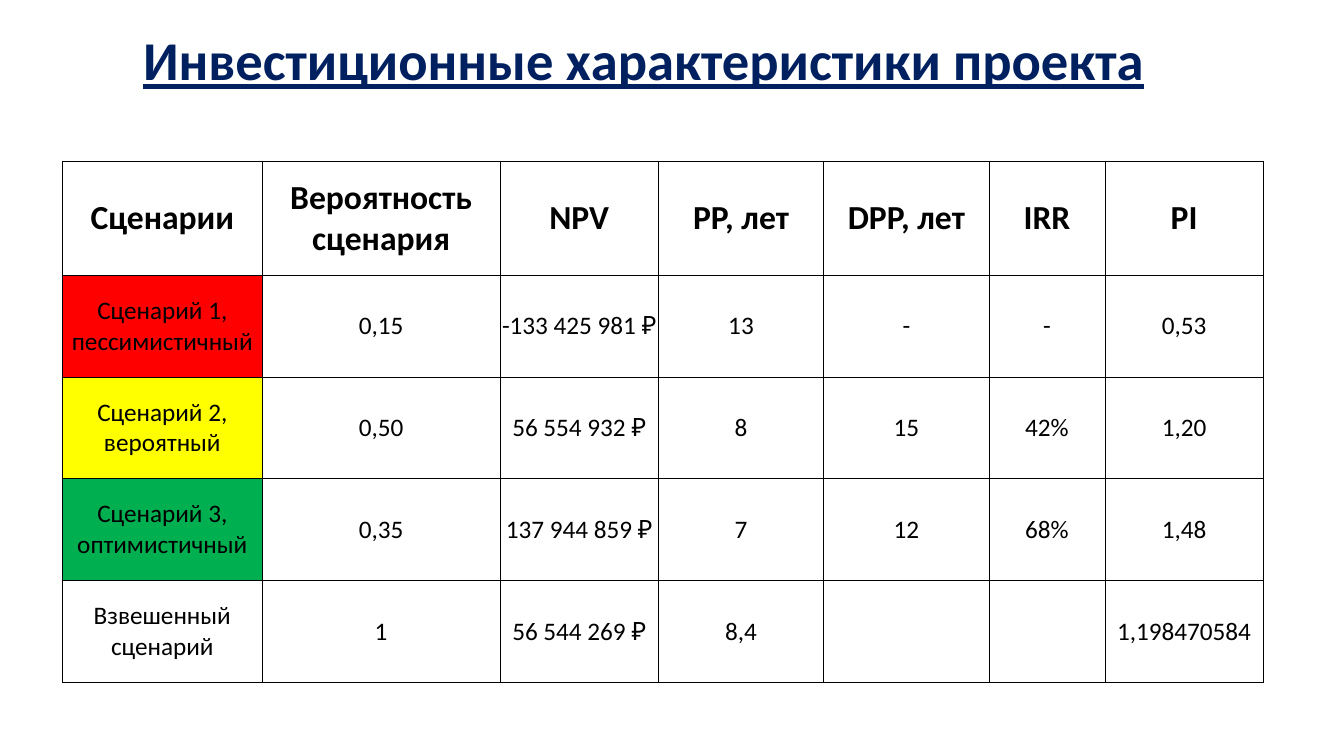
"""Build a slide with a table of investment indicators by scenario."""
from lxml.etree import SubElement
from pptx import Presentation
from pptx.dml.color import RGBColor
from pptx.enum.text import MSO_ANCHOR as Anchor, PP_ALIGN as Align
from pptx.oxml.ns import qn
from pptx.util import Inches, Pt

NAVY = RGBColor(0x00, 0x20, 0x60)
BLACK = RGBColor(0x00, 0x00, 0x00)
RED = RGBColor(0xFF, 0x00, 0x00)
YELLOW = RGBColor(0xFF, 0xFF, 0x00)
GREEN = RGBColor(0x00, 0xB0, 0x50)

COLUMN_WIDTHS = [1.98, 2.36, 1.57, 1.64, 1.64, 1.15, 1.57]
HEADER_HEIGHT, SCENARIO_HEIGHT = 1.13, 1.01
SCENARIO_FILLS = {1: RED, 2: YELLOW, 3: GREEN}
INDICATORS = [
    ["Сценарии", "Вероятность сценария", "NPV", "PP, лет", "DPP, лет", "IRR", "PI"],
    ["Сценарий 1, пессимистичный", "0,15", "-133 425 981 ₽", "13", "-", "-", "0,53"],
    ["Сценарий 2, вероятный", "0,50", "56 554 932 ₽", "8", "15", "42%", "1,20"],
    ["Сценарий 3, оптимистичный", "0,35", "137 944 859 ₽", "7", "12", "68%", "1,48"],
    ["Взвешенный сценарий", "1", "56 544 269 ₽", "8,4", "", "", "1,198470584"],
]


def style_font(font, size, color, bold):
    font.name, font.size, font.bold = "Calibri", Pt(size), bold
    font.color.rgb = color


def add_borders(cell, color, width):
    properties = cell._tc.get_or_add_tcPr()
    for index, side in enumerate(("lnL", "lnR", "lnT", "lnB")):
        border = SubElement(properties, qn(f"a:{side}"), w=str(Pt(width)))
        fill = SubElement(border, qn("a:solidFill"))
        SubElement(fill, qn("a:srgbClr"), val=str(color))
        properties.insert(index, border)


deck = Presentation()
deck.slide_width, deck.slide_height = Inches(13.33), Inches(7.5)
slide = deck.slides.add_slide(deck.slide_layouts[6])

title = slide.shapes.add_textbox(Inches(1.32), Inches(0.14), Inches(10.81), Inches(0.89)).text_frame
title.word_wrap = True
title.vertical_anchor = Anchor.MIDDLE
heading = title.paragraphs[0]
heading.text = "Инвестиционные характеристики проекта"
style_font(heading.font, 39, NAVY, True)
heading.font.underline = True

row_heights = [HEADER_HEIGHT] + [SCENARIO_HEIGHT] * (len(INDICATORS) - 1)
scenarios = slide.shapes.add_table(
    len(row_heights), len(COLUMN_WIDTHS), Inches(0.62), Inches(1.6),
    Inches(sum(COLUMN_WIDTHS)), Inches(sum(row_heights))).table
scenarios.first_row = scenarios.horz_banding = False
for column, width in zip(scenarios.columns, COLUMN_WIDTHS):
    column.width = Inches(width)
for row, height in zip(scenarios.rows, row_heights):
    row.height = Inches(height)

for r, values in enumerate(INDICATORS):
    for c, value in enumerate(values):
        cell = scenarios.cell(r, c)
        cell.margin_left = cell.margin_right = cell.margin_top = cell.margin_bottom = 0
        cell.vertical_anchor = Anchor.MIDDLE
        if c == 0 and r in SCENARIO_FILLS:
            cell.fill.solid()
            cell.fill.fore_color.rgb = SCENARIO_FILLS[r]
        else:
            cell.fill.background()
        add_borders(cell, BLACK, 0.5)
        entry = cell.text_frame.paragraphs[0]
        entry.text = value
        entry.alignment = Align.CENTER
        style_font(entry.font, 24 if r == 0 else 18, BLACK, r == 0)

deck.save("out.pptx")
